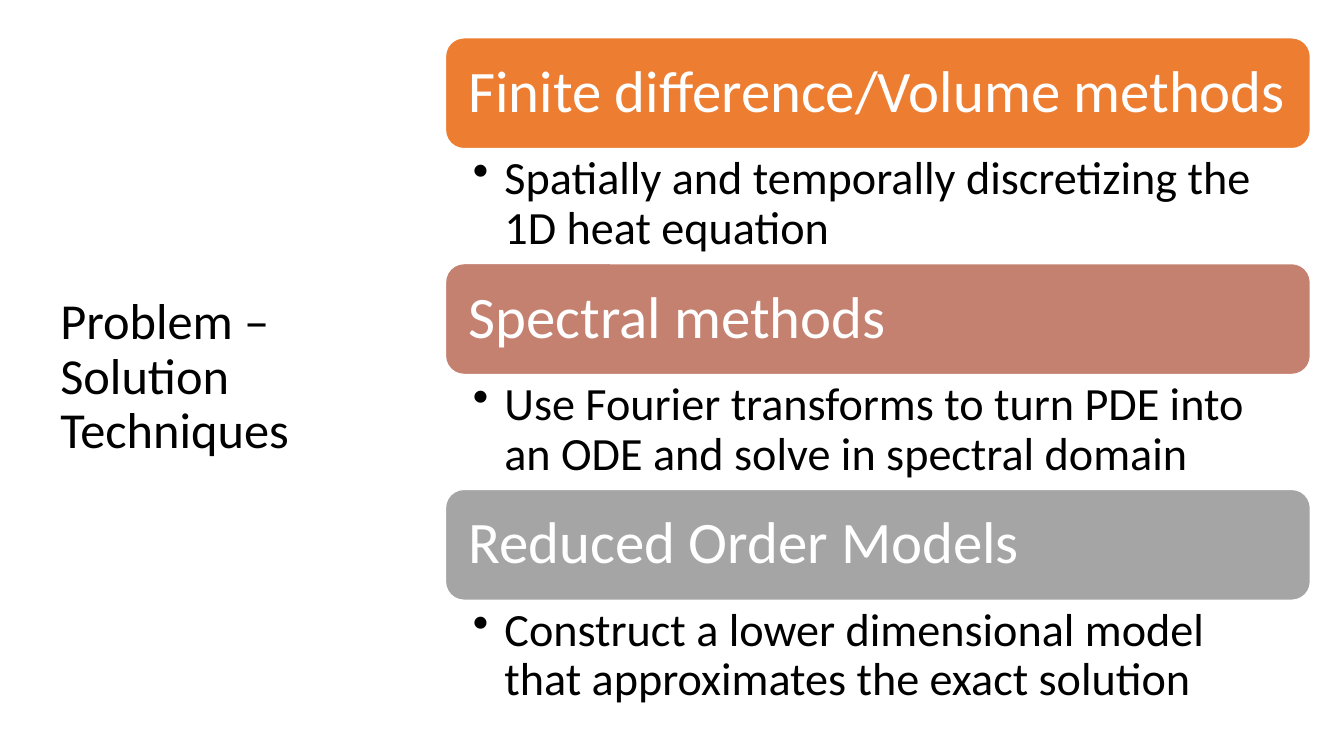
import pptx
import pptx.util
import pptx.dml.color
import pptx.enum.shapes
import pptx.enum.text
import pptx.oxml.ns
import lxml.etree
from dataclasses import dataclass

Pt = pptx.util.Pt
Color = pptx.dml.color.RGBColor.from_string
Anchor = pptx.enum.text.MSO_ANCHOR


@dataclass
class Theme:
    font: str = "Calibri"
    ink: str = "000000"
    paper: str = "FFFFFF"
    title: int = 36
    head: int = 42
    body: int = 33


class Deck:
    def __init__(self, theme):
        self.theme = theme
        self.file = pptx.Presentation()
        self.file.slide_width = Pt(960)
        self.file.slide_height = Pt(540)
        self.slide = self.file.slides.add_slide(self.file.slide_layouts[6])

    def fit(self, shape, text, size, color, inset, anchor):
        frame = shape.text_frame
        frame.word_wrap = True
        frame.vertical_anchor = anchor
        frame.margin_left, frame.margin_top, frame.margin_right, frame.margin_bottom = map(Pt, inset)
        frame.text = text
        para = frame.paragraphs[0]
        para.alignment = pptx.enum.text.PP_ALIGN.LEFT
        para.line_spacing = 0.9
        font = para.runs[0].font
        font.name = self.theme.font
        font.size = Pt(size)
        font.color.rgb = Color(color)
        return para

    def label(self, box, text, size, inset, anchor):
        shape = self.slide.shapes.add_textbox(*map(Pt, box))
        return self.fit(shape, text, size, self.theme.ink, inset, anchor)

    def title(self, box, text):
        self.label(box, text, self.theme.title, (7.2, 3.6, 7.2, 3.6), Anchor.MIDDLE)

    def bar(self, box, text, fill):
        kind = pptx.enum.shapes.MSO_SHAPE.ROUNDED_RECTANGLE
        shape = self.slide.shapes.add_shape(kind, *map(Pt, box))
        shape.shadow.inherit = False
        shape.fill.solid()
        shape.fill.fore_color.rgb = Color(fill)
        shape.line.color.rgb = Color(self.theme.paper)
        shape.line.width = Pt(1)
        self.fit(shape, text, self.theme.head, self.theme.paper, (12.6,) * 4, Anchor.MIDDLE)

    def bullet(self, box, text):
        para = self.label(box, text, self.theme.body, (19.6, 4.2, 23.5, 4.2), Anchor.TOP)
        props = para._p.get_or_add_pPr()
        props.set("marL", str(Pt(22.5)))
        props.set("indent", str(-Pt(22.5)))
        mark = lxml.etree.SubElement(props, pptx.oxml.ns.qn("a:buChar"))
        mark.set("char", "•")


def main():
    deck = Deck(Theme())
    deck.title((36, 44, 258, 452), "Problem – Solution Techniques")
    methods = [
        ("Finite difference/Volume methods", "ED7D31",
         "Spatially and temporally discretizing the 1D heat equation"),
        ("Spectral methods", "C48170",
         "Use Fourier transforms to turn PDE into an ODE and solve in spectral domain"),
        ("Reduced Order Models", "A5A5A5",
         "Construct a lower dimensional model that approximates the exact solution"),
    ]
    left, top, width = 318.2, 27, 617.8
    high, deep = 79.2, 82.1
    for row, (head, fill, note) in enumerate(methods):
        y = top + row * (high + deep)
        deck.bar((left, y, width, high), head, fill)
        deck.bullet((left, y + high, width, deep), note)
    deck.file.save("out.pptx")


if __name__ == "__main__":
    main()
